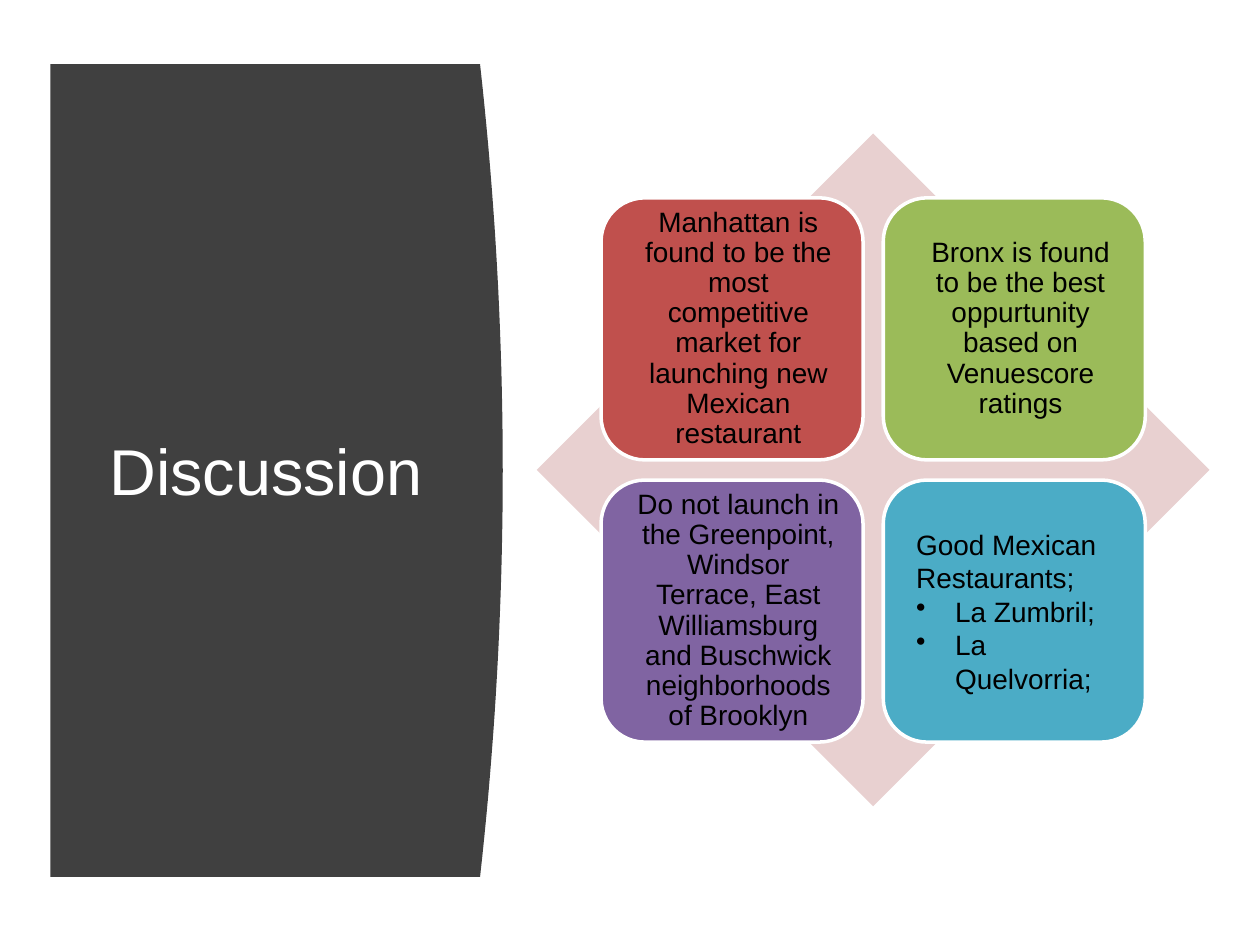
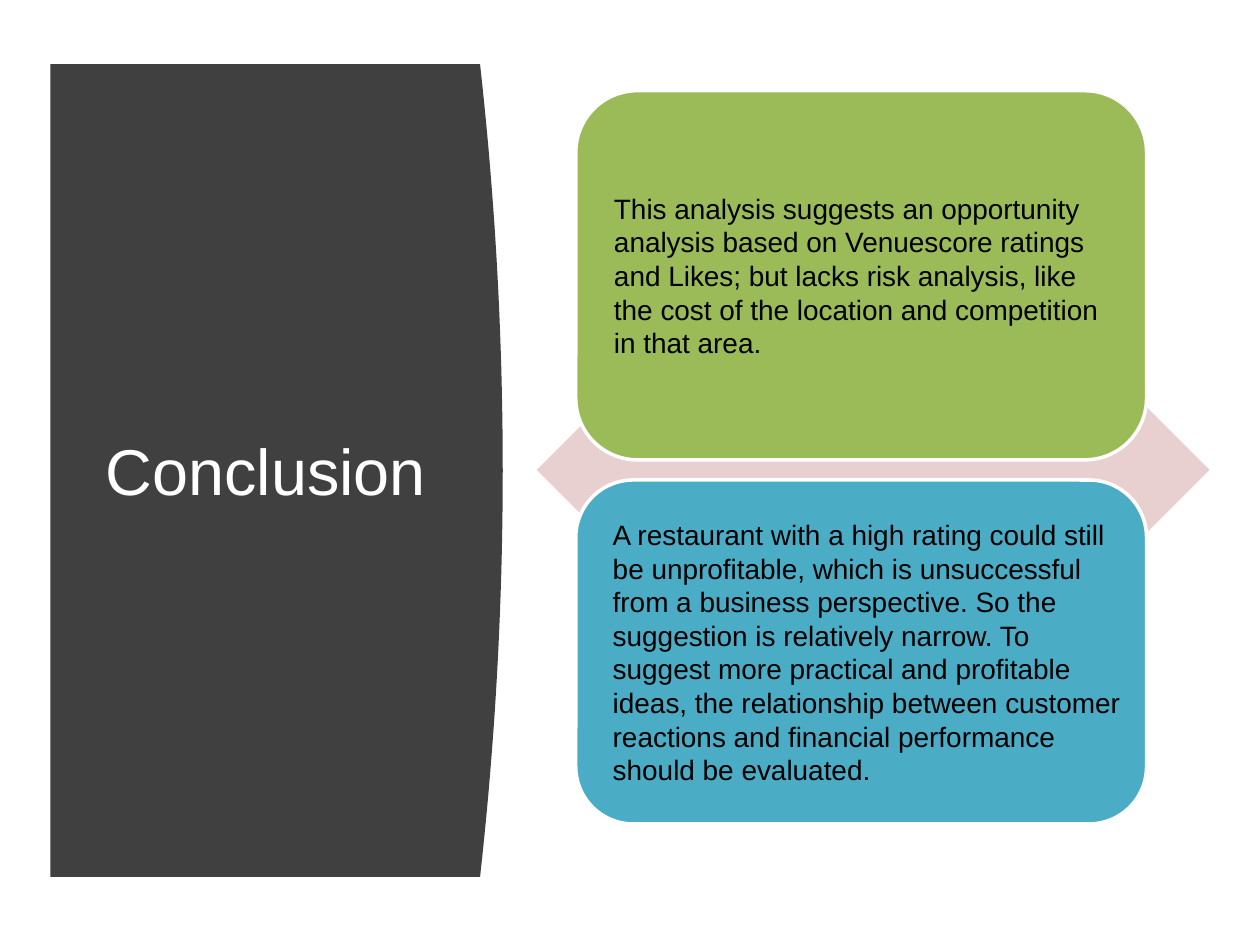
import pptx
import pptx.util
import pptx.dml.color
import pptx.enum.shapes
import pptx.enum.text
import pptx.oxml.ns
from lxml import etree

Inches, Pt = pptx.util.Inches, pptx.util.Pt
SHAPE = pptx.enum.shapes.MSO_SHAPE
ALIGN = pptx.enum.text.PP_ALIGN
MIDDLE = pptx.enum.text.MSO_ANCHOR.MIDDLE

COLORS = {
    "panel": "404040", "diamond": "E8D0D0", "white": "FFFFFF", "black": "000000",
    "red": "C0504D", "green": "9BBB59", "purple": "8064A2", "teal": "4BACC6",
}
FONT = "Arial"


class Deck:
    def __init__(self):
        self.prs = pptx.Presentation()
        self.prs.slide_width, self.prs.slide_height = Inches(10), Inches(7.5)

    def color(self, name):
        return pptx.dml.color.RGBColor.from_string(COLORS[name])

    def paint(self, sp, fill, line=None):
        sp.shadow.inherit = False
        sp.fill.solid()
        sp.fill.fore_color.rgb = self.color(fill)
        if line:
            sp.line.color.rgb = self.color(line)
            sp.line.width = Pt(2)
        else:
            sp.line.fill.background()

    def style_runs(self, p, size, color):
        for r in p.runs:
            r.font.name, r.font.size = FONT, Pt(size)
            r.font.color.rgb = self.color(color)

    def slide(self, title):
        """Start a slide with its curved panel, title and diamond backdrop."""
        self.s = self.prs.slides.add_slide(self.prs.slide_layouts[5])
        panel = self.panel()
        self.title(title, panel)
        self.diagram = self.s.shapes.add_group_shape()
        diamond = self.diagram.shapes.add_shape(
            SHAPE.DIAMOND, Inches(4.26), Inches(1.06), Inches(5.34), Inches(5.34))
        self.paint(diamond, "diamond")

    def panel(self):
        """Draw the dark panel, whose right edge bulges as a parabola."""
        left, top, height, edge, bulge, steps = 0.4, 0.51, 6.45, 3.81, 0.18, 40
        points = []
        for i in range(steps + 1):
            t = 2 * i / steps - 1
            points.append((Inches(edge + bulge * (1 - t * t)),
                           Inches(top + height * i / steps)))
        points.append((Inches(left), Inches(top + height)))
        builder = self.s.shapes.build_freeform(Inches(left), Inches(top))
        builder.add_line_segments(points, close=True)
        sp = builder.convert_to_shape()
        self.paint(sp, "panel")
        return sp

    def title(self, text, panel):
        sp = self.s.shapes.title
        sp.left, sp.top = Inches(0.71), Inches(1.11)
        sp.width, sp.height = Inches(2.8), Inches(5.24)
        panel.element.addnext(sp.element)  # bring the title above the panel
        tf = sp.text_frame
        tf.text = text
        tf.auto_size = pptx.enum.text.MSO_AUTO_SIZE.NONE
        tf.word_wrap, tf.vertical_anchor = True, MIDDLE
        p = tf.paragraphs[0]
        p.alignment = ALIGN.CENTER
        self.style_runs(p, 37, "white")

    def bullet(self, p):
        ppr = p._p.get_or_add_pPr()
        ppr.set("marL", str(Inches(0.31)))
        ppr.set("indent", str(-Inches(0.31)))
        bu = etree.SubElement(ppr, pptx.oxml.ns.qn("a:buChar"))
        bu.set("char", "•")

    def tile(self, left, top, width, height, fill, text, bullets=(), centered=False):
        sp = self.diagram.shapes.add_shape(
            SHAPE.ROUNDED_RECTANGLE, Inches(left), Inches(top), Inches(width), Inches(height))
        sp.adjustments[0] = 0.167
        self.paint(sp, fill, "white")
        tf = sp.text_frame
        tf.word_wrap, tf.vertical_anchor = True, MIDDLE
        tf.margin_left = tf.margin_top = tf.margin_bottom = Inches(0.16)
        tf.margin_right = Inches(0.06)
        tf.text = text
        for item in bullets:
            p = tf.add_paragraph()
            p.text = item
            self.bullet(p)
        for p in tf.paragraphs:
            p.alignment = ALIGN.CENTER if centered else ALIGN.LEFT
            if centered:
                p.line_spacing, p.space_after = 0.9, Pt(5.2)
            self.style_runs(p, 16, "black")


def discussion(deck):
    deck.slide("Discussion")
    size, pitch = 2.08, 2.24
    tiles = [
        ("red", "Manhattan is found to be the most competitive market for "
                "launching new Mexican restaurant", ()),
        ("green", "Bronx is found to be the best oppurtunity based on "
                  "Venuescore ratings", ()),
        ("purple", "Do not launch in the Greenpoint, Windsor Terrace, East Williamsburg "
                   "and Buschwick neighborhoods of Brooklyn", ()),
        ("teal", "Good Mexican Restaurants;", ("La Zumbril;", "La Quelvorria;")),
    ]
    for i, (fill, text, bullets) in enumerate(tiles):
        row, col = divmod(i, 2)
        deck.tile(4.77 + col * pitch, 1.57 + row * pitch, size, size,
                  fill, text, bullets, centered=not bullets)


def conclusion(deck):
    deck.slide("Conclusion")
    left, width = 4.57, 4.53
    deck.tile(left, 0.72, width, 2.93, "green",
              "This analysis suggests an opportunity analysis based on Venuescore ratings "
              "and Likes; but lacks risk analysis, like the cost of the location and "
              "competition in that area.")
    deck.tile(left, 3.81, width, 2.73, "teal",
              "A restaurant with a high rating could still be unprofitable, which is "
              "unsuccessful from a business perspective. So the suggestion is relatively "
              "narrow. To suggest more practical and profitable ideas, the relationship "
              "between customer reactions and financial performance should be evaluated.")


def main():
    deck = Deck()
    discussion(deck)
    conclusion(deck)
    deck.prs.save("out.pptx")


if __name__ == "__main__":
    main()
